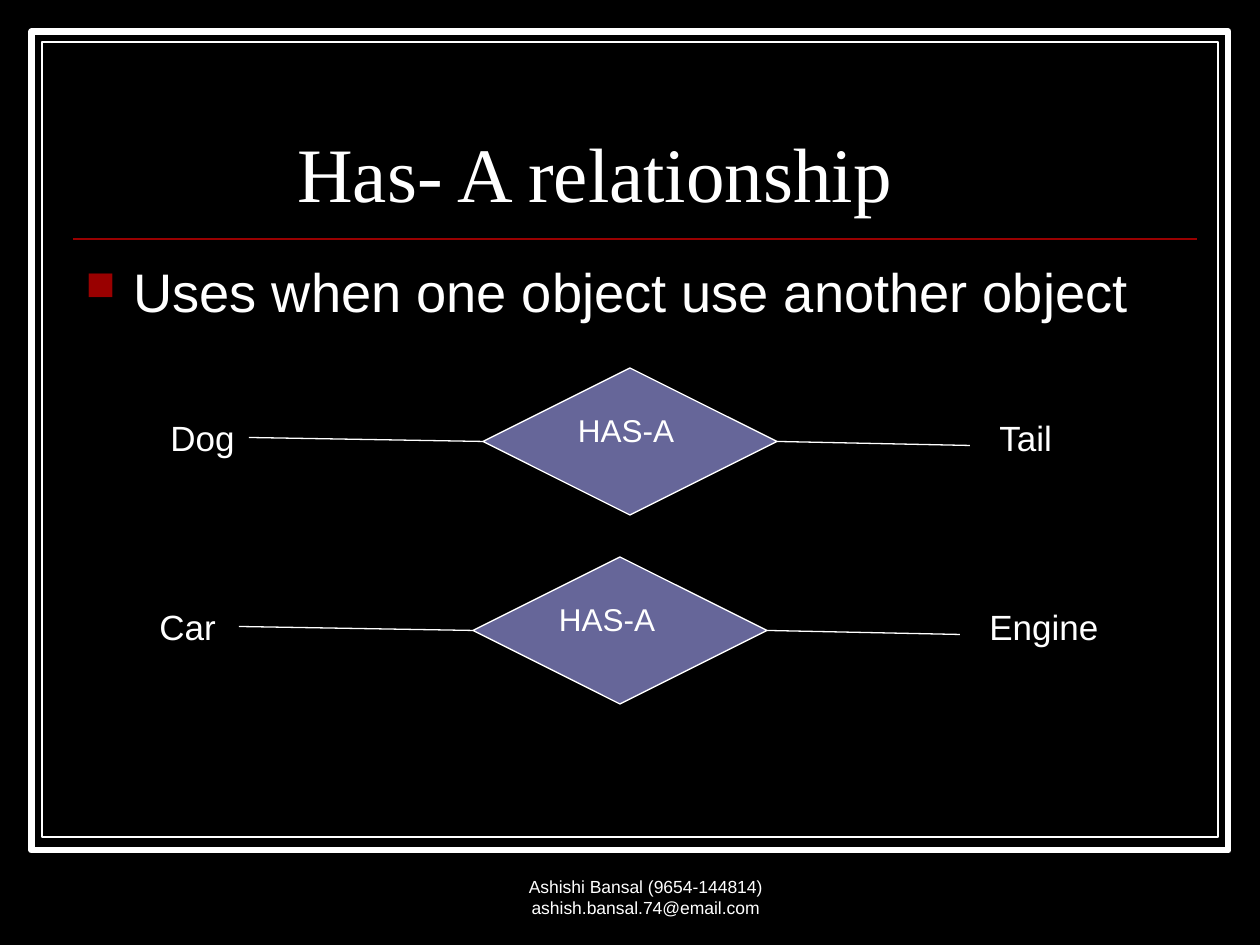
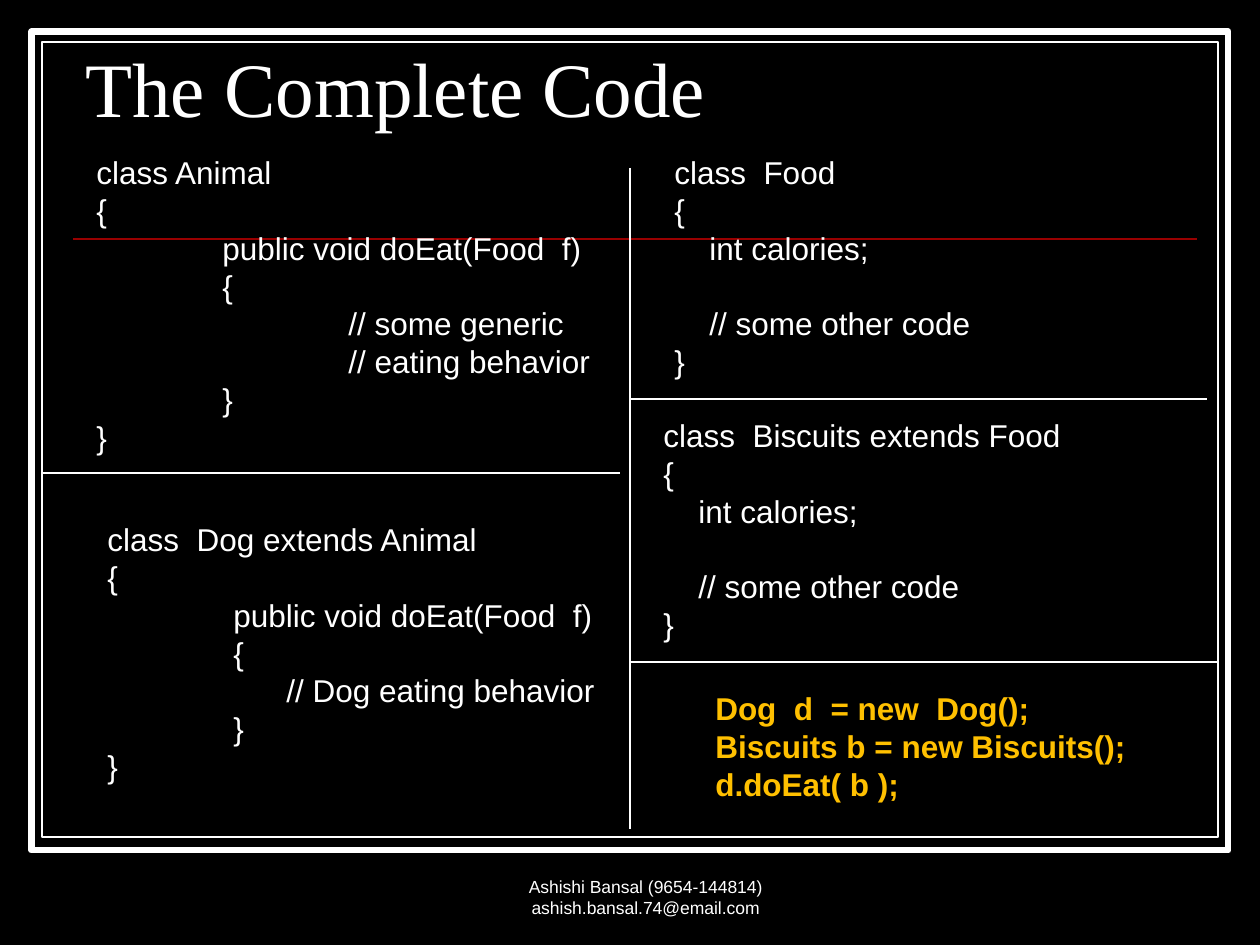
from dataclasses import dataclass
from lxml import etree
from pptx import Presentation
from pptx.dml.color import RGBColor
from pptx.enum.shapes import MSO_CONNECTOR, MSO_SHAPE
from pptx.enum.text import MSO_ANCHOR, PP_ALIGN
from pptx.oxml.ns import qn
from pptx.util import Emu, Pt

STRAIGHT = MSO_CONNECTOR.STRAIGHT
RECTANGLE, DIAMOND = MSO_SHAPE.RECTANGLE, MSO_SHAPE.FLOWCHART_DECISION
TOP, BOTTOM = MSO_ANCHOR.TOP, MSO_ANCHOR.BOTTOM
LEFT, CENTER = PP_ALIGN.LEFT, PP_ALIGN.CENTER


@dataclass(frozen=True)
class Theme:
    black: str = "000000"
    white: str = "FFFFFF"
    red: str = "990000"
    violet: str = "666699"
    amber: str = "FFC000"
    title_font: str = "Times New Roman"
    body_font: str = "Arial"
    title_size: int = 44
    body_size: int = 31
    label_size: int = 20
    code_size: int = 18
    footer_size: int = 10
    leading: float = 1.2
    thin: float = 0.75


THEME = Theme()
SCALE = 914400 // 126
WIDTH, HEIGHT = 1260, 945

# Content
FOOTER = "Ashishi Bansal (9654-144814) ashish.bansal.74@email.com"
RELATION_TITLE = "Has- A relationship"
RELATION_POINT = "Uses when one object use another object"
# owner, owner box (left, width), part, part box width, diamond (left, top), text indent
RELATIONS = [
    ("Dog", 158, 91, "Tail", 78, 483, 368, 9),
    ("Car", 147, 92, "Engine", 136, 473, 557, 0),
]
CODE_TITLE = "The Complete Code"
TAB, STEP, DEEP = 126, 35, 179
FOOD_BODY = [(0, "{"), (STEP, "int calories;"), (STEP, None),
             (STEP, "// some other code"), (0, "}")]
# box (left, top, width, height), colour, bold, lines of (indent, text); None skips a line
LISTINGS = [
    ((84, 147, 542, 318), THEME.white, False, [
        (0, "class Animal"), (0, "{"), (TAB, "public void doEat(Food  f)"),
        (TAB, "{"), (2 * TAB, "// some generic"),
        (2 * TAB, "// eating behavior"), (TAB, "}"), (0, "}")]),
    ((95, 514, 534, 280), THEME.white, False, [
        (0, "class  Dog extends Animal"), (0, "{"),
        (TAB, "public void doEat(Food  f)"), (TAB, "{"),
        (DEEP, "// Dog eating behavior"), (TAB, "}"), (0, "}")]),
    ((662, 147, 407, 242), THEME.white, False, [(0, "class  Food")] + FOOD_BODY),
    ((651, 410, 427, 242), THEME.white, False,
     [(0, "class  Biscuits extends Food")] + FOOD_BODY),
    ((703, 683, 440, 165), THEME.amber, True, [
        (0, "Dog  d  = new  Dog();"), (0, "Biscuits b = new Biscuits();"),
        (0, "d.doEat( b );")]),
]
DIVIDERS = [(630, 168, 630, 829), (42, 473, 620, 473),
            (630, 399, 1207, 399), (630, 662, 1218, 662)]


def px(value):
    return Emu(round(value * SCALE))


def colour(value):
    return RGBColor.from_string(value)


def style(para, size, tint=THEME.white, font=THEME.body_font, bold=False,
          spacing=None, indent=0, align=LEFT):
    para.alignment = align
    para.line_spacing = spacing or Pt(size * THEME.leading)
    if indent:
        para._p.get_or_add_pPr().set("marL", str(px(indent)))
    for span in para.runs:
        span.font.size, span.font.name, span.font.bold = Pt(size), font, bold
        span.font.color.rgb = colour(tint)


def add_text(page, area, lines, size, anchor=TOP, **look):
    box = page.shapes.add_textbox(*map(px, area))
    frame = box.text_frame
    frame.word_wrap = True
    frame.vertical_anchor = anchor
    gap = 0
    for indent, text in lines:
        if text is None:
            gap += size * THEME.leading
            continue
        para = frame.paragraphs[0] if not frame.text else frame.add_paragraph()
        para.text = text
        para.space_before = Pt(gap)
        style(para, size, indent=indent, **look)
        gap = 0
    return box


def add_block(page, kind, area, fill, weight):
    shape = page.shapes.add_shape(kind, *map(px, area))
    shape.shadow.inherit = False
    shape.fill.solid()
    shape.fill.fore_color.rgb = colour(fill)
    shape.line.color.rgb = colour(THEME.white)
    shape.line.width = Pt(weight)
    return shape


def add_line(page, ends, tint=THEME.white, weight=THEME.thin):
    line = page.shapes.add_connector(STRAIGHT, *map(px, ends))
    line.line.color.rgb = colour(tint)
    line.line.width = Pt(weight)
    etree.SubElement(line._element.spPr, qn("a:effectLst"))


def add_bullet(para, hang):
    props = para._p.get_or_add_pPr()
    props.set("indent", str(-px(hang)))
    tint = etree.SubElement(props, qn("a:buClr"))
    etree.SubElement(tint, qn("a:srgbClr"), val=THEME.red)
    etree.SubElement(props, qn("a:buSzPct"), val="75000")
    etree.SubElement(props, qn("a:buChar"), char="\u25a0")


def add_page(deck, title, title_area, title_indent=0):
    page = deck.slides.add_slide(deck.slide_layouts[6])
    page.background.fill.solid()
    page.background.fill.fore_color.rgb = colour(THEME.black)
    # Double frame and title rule
    for margin, height, weight in ((31.5, 819, 3.5), (42, 795, THEME.thin)):
        area = (margin, margin, WIDTH - 2 * margin, height)
        add_block(page, RECTANGLE, area, THEME.black, weight)
    add_line(page, (73, 239, 1197, 239), THEME.red, 1)
    # Title and footer
    add_text(page, title_area, [(title_indent, title)], THEME.title_size,
             BOTTOM, font=THEME.title_font, spacing=0.8)
    add_text(page, (446, 861, 399, 63), [(0, FOOTER)], THEME.footer_size,
             BOTTOM, align=CENTER)
    return page


deck = Presentation()
deck.slide_width, deck.slide_height = px(WIDTH), px(HEIGHT)

# Relationship diagram
page = add_page(deck, RELATION_TITLE, (73, 66, 1124, 158), 212)
point = add_text(page, (73, 252, 1103, 84), [(48, RELATION_POINT)], THEME.body_size)
add_bullet(point.text_frame.paragraphs[0], 48)
DIAMOND_WIDTH, DIAMOND_HEIGHT, SLANT, REACH = 294, 147, 4, 193
for owner, left, width, part, part_width, x, y, indent in RELATIONS:
    right, middle = x + DIAMOND_WIDTH, y + DIAMOND_HEIGHT / 2
    for text, start, span in ((owner, left, width), (part, right + 210, part_width)):
        add_text(page, (start, y + 42, span, 55), [(0, text)], THEME.label_size)
    diamond = add_block(page, DIAMOND, (x, y, DIAMOND_WIDTH, DIAMOND_HEIGHT),
                        THEME.violet, THEME.thin)
    diamond.text_frame.text = "HAS-A"
    diamond.text_frame.vertical_anchor = TOP
    style(diamond.text_frame.paragraphs[0], THEME.code_size, indent=indent)
    add_line(page, (left + width, middle - SLANT, x, middle))
    add_line(page, (right, middle, right + REACH, middle + SLANT))

# Code listings in a divided frame
page = add_page(deck, CODE_TITLE, (73, 53, 1124, 86))
for area, tint, bold, lines in LISTINGS:
    add_text(page, area, lines, THEME.code_size, tint=tint, bold=bold)
for ends in DIVIDERS:
    add_line(page, ends)

deck.save("out.pptx")
